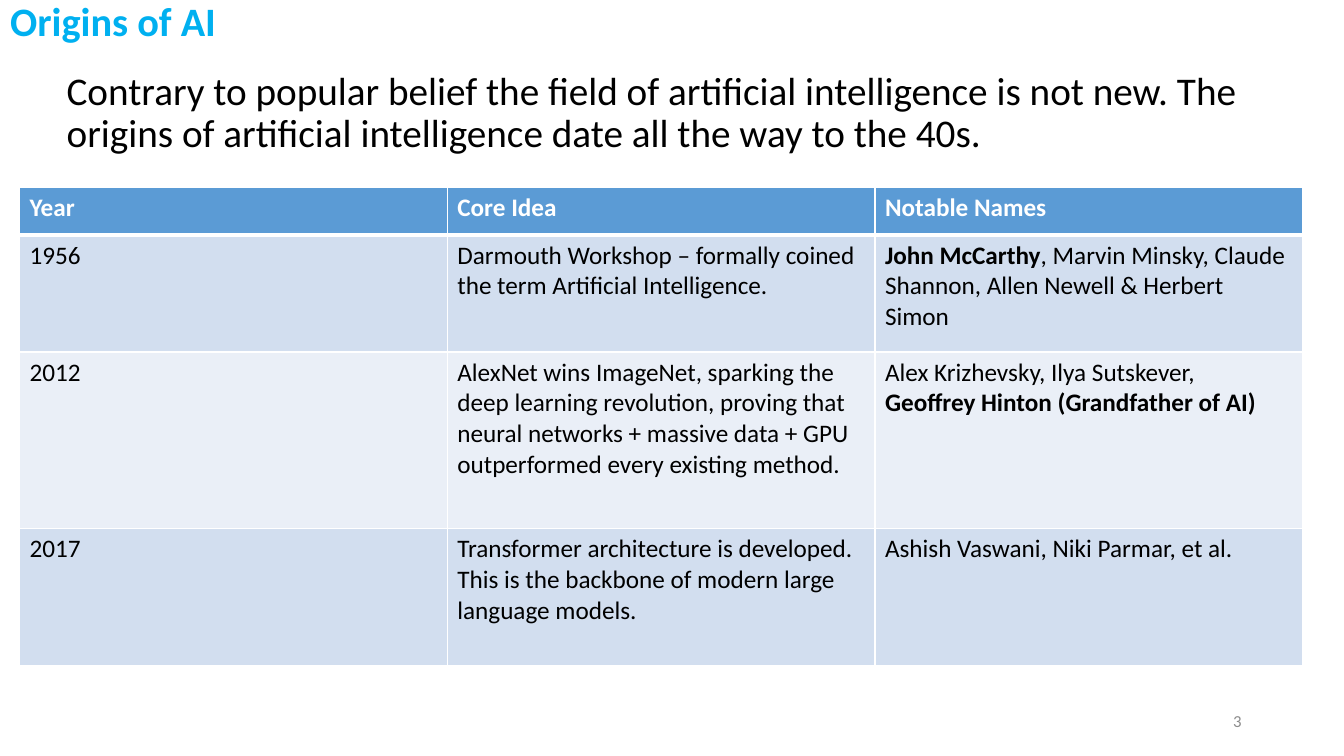
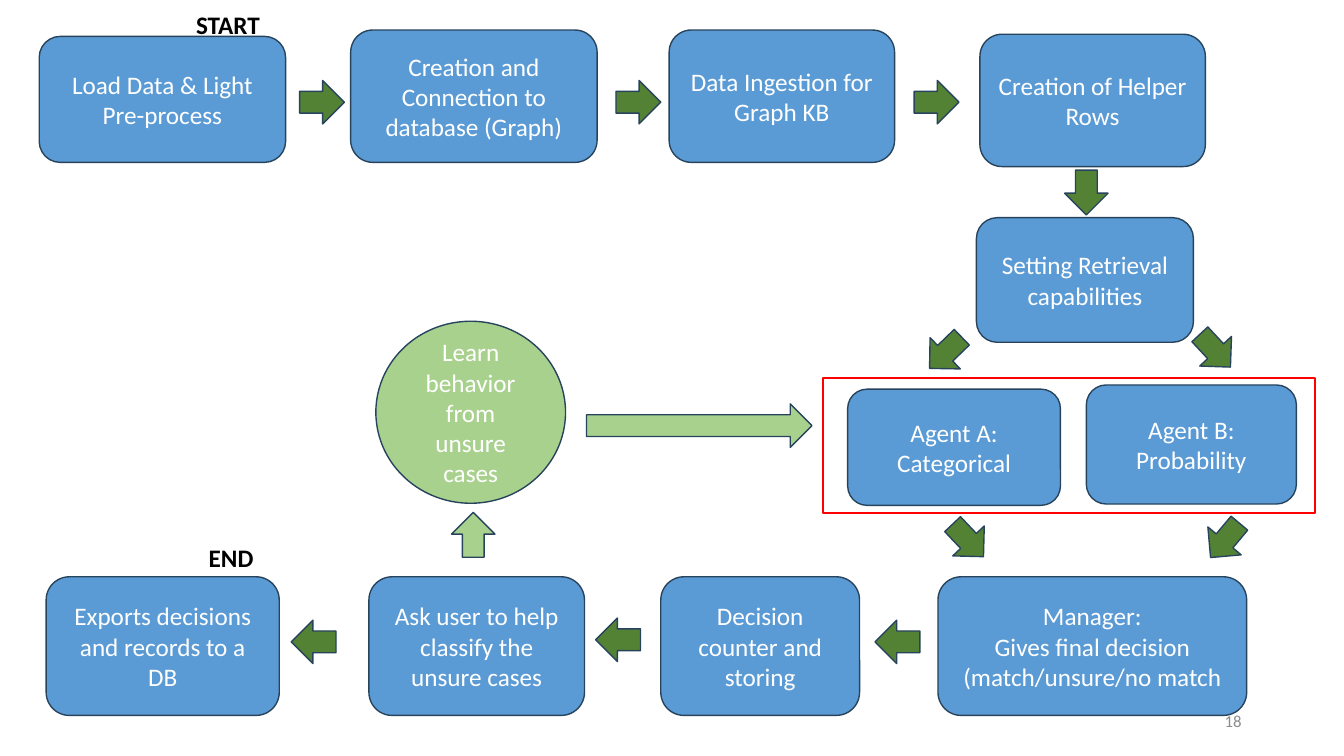
from dataclasses import dataclass

from lxml import etree
from pptx import Presentation
from pptx.dml.color import RGBColor
from pptx.enum.shapes import MSO_SHAPE as Shape
from pptx.enum.text import MSO_ANCHOR as Anchor, PP_ALIGN as Align
from pptx.oxml.ns import qn
from pptx.util import Pt


@dataclass(frozen=True)
class Theme:
    font: str = "Calibri"
    title: str = "00B0F0"
    ink: str = "000000"
    paper: str = "FFFFFF"
    muted: str = "8C8C8C"
    blue: str = "5B9BD5"
    bands: tuple = ("D2DEEF", "EAEFF7")
    outline: str = "28445D"
    green: str = "548235"
    light_green: str = "A9D18E"
    frame: str = "FF0000"
    title_size: float = 28.8
    lead_size: float = 28
    text_size: float = 18
    number_size: float = 12


THEME = Theme()
TITLE_ONLY, BLANK = 5, 6
ARROW_WIDTH, ARROW_LENGTH = 31, 32
RIGHT, LEFT, UP = 270, 90, 180

TIMELINE = [
    ["Year", "Core Idea", "Notable Names"],
    ["1956",
     "Darmouth Workshop – formally coined the term Artificial Intelligence.",
     [[("John McCarthy", True),
       (", Marvin Minsky, Claude Shannon, Allen Newell & Herbert Simon", False)]]],
    ["2012",
     "AlexNet wins ImageNet, sparking the deep learning revolution, proving that "
     "neural networks + massive data + GPU outperformed every existing method.",
     [[("Alex Krizhevsky, Ilya Sutskever,", False)],
      [("Geoffrey Hinton (Grandfather of AI)", True)]]],
    ["2017",
     "Transformer architecture is developed. This is the backbone of modern "
     "large language models.",
     "Ashish Vaswani, Niki Parmar, et al."],
]
ROW_HEIGHTS = (34, 83.5, 126, 98)

BOTTOM_TOP, BOTTOM_HEIGHT = 412, 99
STEPS = [  # text, left, top, width, height
    ("Load Data & Light Pre-process", 28, 26, 176, 90),
    ("Creation and Connection to database (Graph)", 250.5, 21.5, 176, 94.5),
    ("Data Ingestion for Graph KB", 478, 21.5, 161, 94.5),
    ("Creation of Helper Rows", 700, 24.5, 161, 94.5),
    ("Setting Retrieval capabilities", 697.5, 155.5, 155, 89),
    ("Agent A: Categorical", 605.5, 278, 152, 83),
    ("Agent B: Probability", 776, 275, 150, 85),
    ("Manager:\nGives final decision\n(match/unsure/no match",
     670, BOTTOM_TOP, 220.5, BOTTOM_HEIGHT),
    ("Decision counter and storing", 472, BOTTOM_TOP, 142, BOTTOM_HEIGHT),
    ("Ask user to help classify the unsure cases",
     263.5, BOTTOM_TOP, 154, BOTTOM_HEIGHT),
    ("Exports decisions and records to a DB",
     33, BOTTOM_TOP, 166.5, BOTTOM_HEIGHT),
]
FLOW_ARROWS = [  # centre x, centre y, rotation from pointing down
    (230, 73, RIGHT), (456, 73, RIGHT), (669, 73, RIGHT),
    (776, 137.5, 0),
    (675.5, 252, 46), (868, 250.5, 317),
    (691.5, 386, 316.5), (875, 386, 40),
    (641, 458.5, LEFT), (441.5, 457, LEFT), (224, 458.5, LEFT),
]


def rgb(color):
    return RGBColor.from_string(color)


def points(*lengths):
    return [Pt(length) for length in lengths]


def format_font(font, size, color, bold=False):
    font.name = THEME.font
    font.size = Pt(size)
    font.bold = bold
    font.color.rgb = rgb(color)


def format_text(text_frame, size, color, bold=False, align=Align.LEFT, spacing=None):
    for paragraph in text_frame.paragraphs:
        paragraph.alignment = align
        if spacing:
            paragraph.line_spacing = spacing
        for run in paragraph.runs:
            format_font(run.font, size, color, bold)


def set_title(slide, text):
    title = slide.shapes.title
    title.left, title.top, title.width, title.height = points(0, 0, 828, 33)
    title.text_frame.text = text
    title.text_frame.vertical_anchor = Anchor.MIDDLE
    format_text(title.text_frame, THEME.title_size, THEME.title, True, spacing=0.9)


def add_text(slide, text, box, size, color, wrap=True, anchor=Anchor.TOP, **style):
    text_frame = slide.shapes.add_textbox(*points(*box)).text_frame
    text_frame.word_wrap = wrap
    text_frame.vertical_anchor = anchor
    text_frame.text = text
    format_text(text_frame, size, color, **style)


def add_slide_number(slide, number):
    add_text(slide, str(number), (678, 500.5, 216, 29), THEME.number_size,
             THEME.muted, anchor=Anchor.MIDDLE, align=Align.RIGHT)


def add_figure(slide, kind, box, fill=None, line=THEME.outline, text="", rotation=0):
    shape = slide.shapes.add_shape(kind, *points(*box))
    shape.shadow.inherit = False
    shape.rotation = rotation
    if fill:
        shape.fill.solid()
        shape.fill.fore_color.rgb = rgb(fill)
    else:
        shape.fill.background()
    shape.line.color.rgb = rgb(line)
    shape.line.width = Pt(1)
    if text:
        shape.text_frame.text = text
        shape.text_frame.word_wrap = True
        shape.text_frame.vertical_anchor = Anchor.MIDDLE
        format_text(shape.text_frame, THEME.text_size, THEME.paper, align=Align.CENTER)


def add_arrow(slide, center_x, center_y, rotation, fill=THEME.green, length=ARROW_LENGTH):
    box = (center_x - ARROW_WIDTH / 2, center_y - length / 2, ARROW_WIDTH, length)
    add_figure(slide, Shape.DOWN_ARROW, box, fill, rotation=rotation)


def set_borders(cell, **widths):
    properties = cell._tc.get_or_add_tcPr()
    for side in "LRTB":
        width = Pt(widths.get(side, 1))
        line = etree.SubElement(properties, qn(f"a:ln{side}"), w=str(width))
        fill = etree.SubElement(line, qn("a:solidFill"))
        etree.SubElement(fill, qn("a:srgbClr"), val=THEME.paper)


def fill_cell(cell, content, color, bold):
    """Write plain text, or paragraphs made of (text, bold) runs."""
    paragraphs = [[(content, bold)]] if isinstance(content, str) else content
    text_frame = cell.text_frame
    for index, runs in enumerate(paragraphs):
        paragraph = text_frame.add_paragraph() if index else text_frame.paragraphs[0]
        for text, run_bold in runs:
            run = paragraph.add_run()
            run.text = text
            format_font(run.font, THEME.text_size, color, run_bold)


def add_timeline(slide, rows, heights, left, top, width):
    frame = slide.shapes.add_table(len(rows), len(rows[0]),
                                   *points(left, top, width, sum(heights)))
    table = frame.table
    for column in table.columns:
        column.width = Pt(width / len(rows[0]))
    for row_index, (contents, height) in enumerate(zip(rows, heights)):
        table.rows[row_index].height = Pt(height)
        header = row_index == 0
        background = THEME.blue if header else THEME.bands[(row_index - 1) % 2]
        for column_index, content in enumerate(contents):
            cell = table.cell(row_index, column_index)
            set_borders(cell, T=3 if row_index == 1 else 1, B=3 if header else 1)
            cell.fill.solid()
            cell.fill.fore_color.rgb = rgb(background)
            fill_cell(cell, content, THEME.paper if header else THEME.ink, header)


def add_origins_slide(presentation):
    slide = presentation.slides.add_slide(presentation.slide_layouts[TITLE_ONLY])
    set_title(slide, "Origins of AI")
    add_text(slide, "Contrary to popular belief the field of artificial intelligence is "
             "not new. The origins of artificial intelligence date all the way to the 40s.",
             (40.5, 47.5, 890, 80), THEME.lead_size, THEME.ink, spacing=0.9)
    add_timeline(slide, TIMELINE, ROW_HEIGHTS, 14, 134, 916.5)
    add_slide_number(slide, 3)


def add_workflow_slide(presentation):
    slide = presentation.slides.add_slide(presentation.slide_layouts[BLANK])
    for text, *box in STEPS:
        add_figure(slide, Shape.ROUNDED_RECTANGLE, box, THEME.blue, text=text)
    for arrow in FLOW_ARROWS:
        add_arrow(slide, *arrow)
    add_arrow(slide, 338, 382, UP, THEME.light_green)
    add_arrow(slide, 499.5, 304, RIGHT, THEME.light_green, length=161)
    add_figure(slide, Shape.OVAL, (268.5, 229.5, 135.5, 130), THEME.light_green,
               text="Learn behavior from unsure cases")
    add_figure(slide, Shape.RECTANGLE, (588, 270, 351.5, 96.5), line=THEME.frame)
    for label, box in (("START", (133, 3, 65, 29)), ("END", (142, 384, 47, 29))):
        add_text(slide, label, box, THEME.text_size, THEME.ink, wrap=False, bold=True)
    add_slide_number(slide, 18)


def main():
    presentation = Presentation()
    presentation.slide_width, presentation.slide_height = points(960, 540)
    add_origins_slide(presentation)
    add_workflow_slide(presentation)
    presentation.save("out.pptx")


if __name__ == "__main__":
    main()
